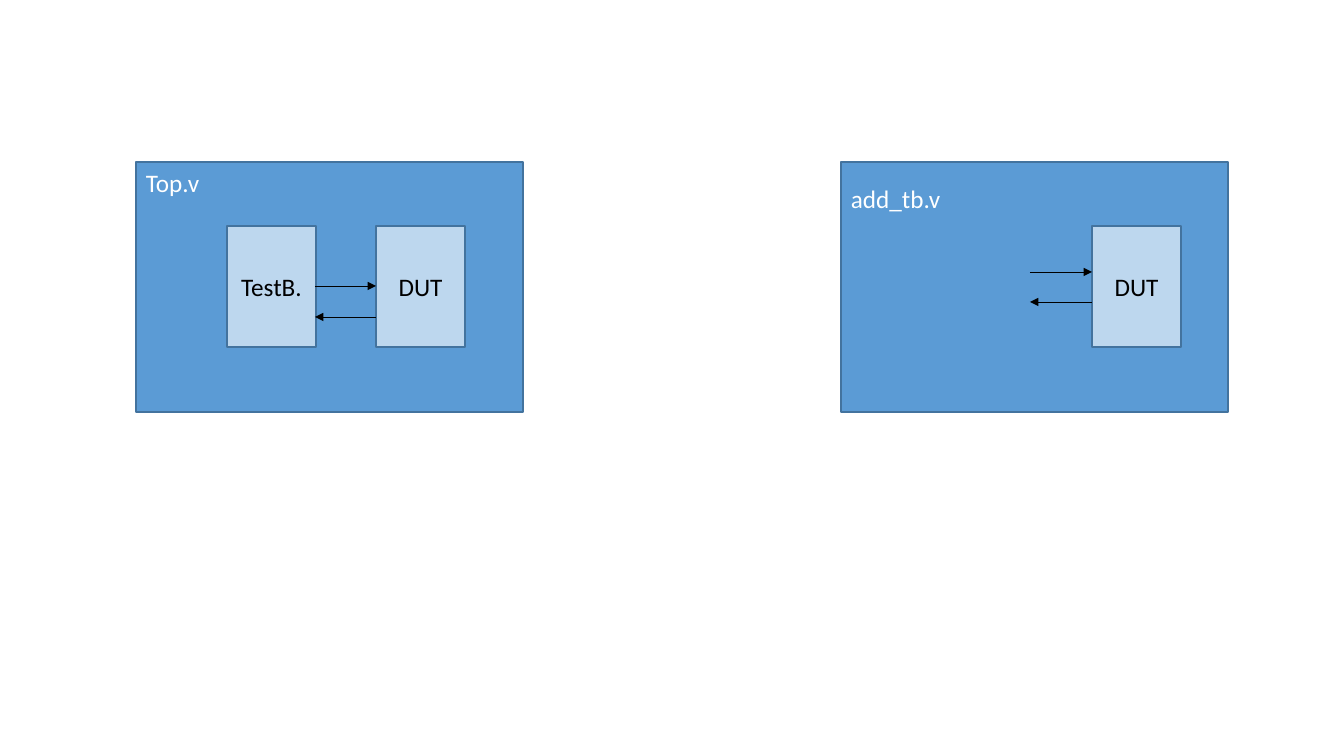
from lxml.etree import SubElement
from pptx import Presentation
from pptx.dml.color import RGBColor as RGB
from pptx.enum.shapes import MSO_CONNECTOR as LINK, MSO_SHAPE as SHAPE
from pptx.enum.text import MSO_ANCHOR as ANCHOR, PP_ALIGN as ALIGN
from pptx.oxml.ns import qn
from pptx.util import Pt

# Content: modules with label, left and top inset; blocks; arrows (px)
MODULES = [("add_tb.v", 841, 21), ("Top.v", 136, 5)]
BLOCKS = [("DUT", 1092), ("DUT", 376), ("TestB.", 227)]
ARROWS = [
    ((315, 286), (376, 286)),
    ((376, 317), (315, 317)),
    ((1030, 272), (1092, 272)),
    ((1092, 302), (1030, 302)),
]

# Theme and sizes
THEME = {
    "font": "Calibri", "size": Pt(18), "edge": "43739E", "arrow": "000000",
    "module": {"fill": "5B9BD5", "ink": "FFFFFF",
               "align": ALIGN.LEFT, "anchor": ANCHOR.TOP},
    "block": {"fill": "BDD7EE", "ink": "000000",
              "align": ALIGN.CENTER, "anchor": ANCHOR.MIDDLE},
}
WIDE, HIGH = 1344, 756
MOD_TOP, MOD_W, MOD_H = 162, 387, 250
BLOCK_W, BLOCK_H = 89, 121
BLOCK_TOP = MOD_TOP + (MOD_H - BLOCK_H) // 2


def px(n):
    return round(n * 914400 / 100.8)


def add_box(slide, text, area, style, inset=5):
    box = slide.shapes.add_shape(SHAPE.RECTANGLE, *map(px, area))
    box.shadow.inherit = False
    box.fill.solid()
    box.fill.fore_color.rgb = RGB.from_string(style["fill"])
    box.line.color.rgb = RGB.from_string(THEME["edge"])
    box.line.width = Pt(1)
    frame = box.text_frame
    form = {"word_wrap": True, "vertical_anchor": style["anchor"],
            "margin_top": px(inset)}
    for key, value in form.items():
        setattr(frame, key, value)
    para = frame.paragraphs[0]
    para.alignment = style["align"]
    run = para.add_run()
    run.text = text
    for key, value in {"name": THEME["font"], "size": THEME["size"]}.items():
        setattr(run.font, key, value)
    run.font.color.rgb = RGB.from_string(style["ink"])


def add_arrow(slide, start, end):
    link = slide.shapes.add_connector(LINK.STRAIGHT, *map(px, start + end))
    link.line.color.rgb = RGB.from_string(THEME["arrow"])
    link.line.width = Pt(0.5)
    SubElement(link.line._get_or_add_ln(), qn("a:tailEnd"), type="triangle")
    SubElement(link._element.spPr, qn("a:effectLst"))


def main():
    deck = Presentation()
    deck.slide_width, deck.slide_height = px(WIDE), px(HIGH)
    slide = deck.slides.add_slide(deck.slide_layouts[6])

    # Modules, then the blocks inside them
    for text, left, inset in MODULES:
        add_box(slide, text, (left, MOD_TOP, MOD_W, MOD_H),
                THEME["module"], inset)
    for text, left in BLOCKS:
        add_box(slide, text, (left, BLOCK_TOP, BLOCK_W, BLOCK_H),
                THEME["block"])

    # Signals
    for start, end in ARROWS:
        add_arrow(slide, start, end)

    deck.save("out.pptx")


if __name__ == "__main__":
    main()
